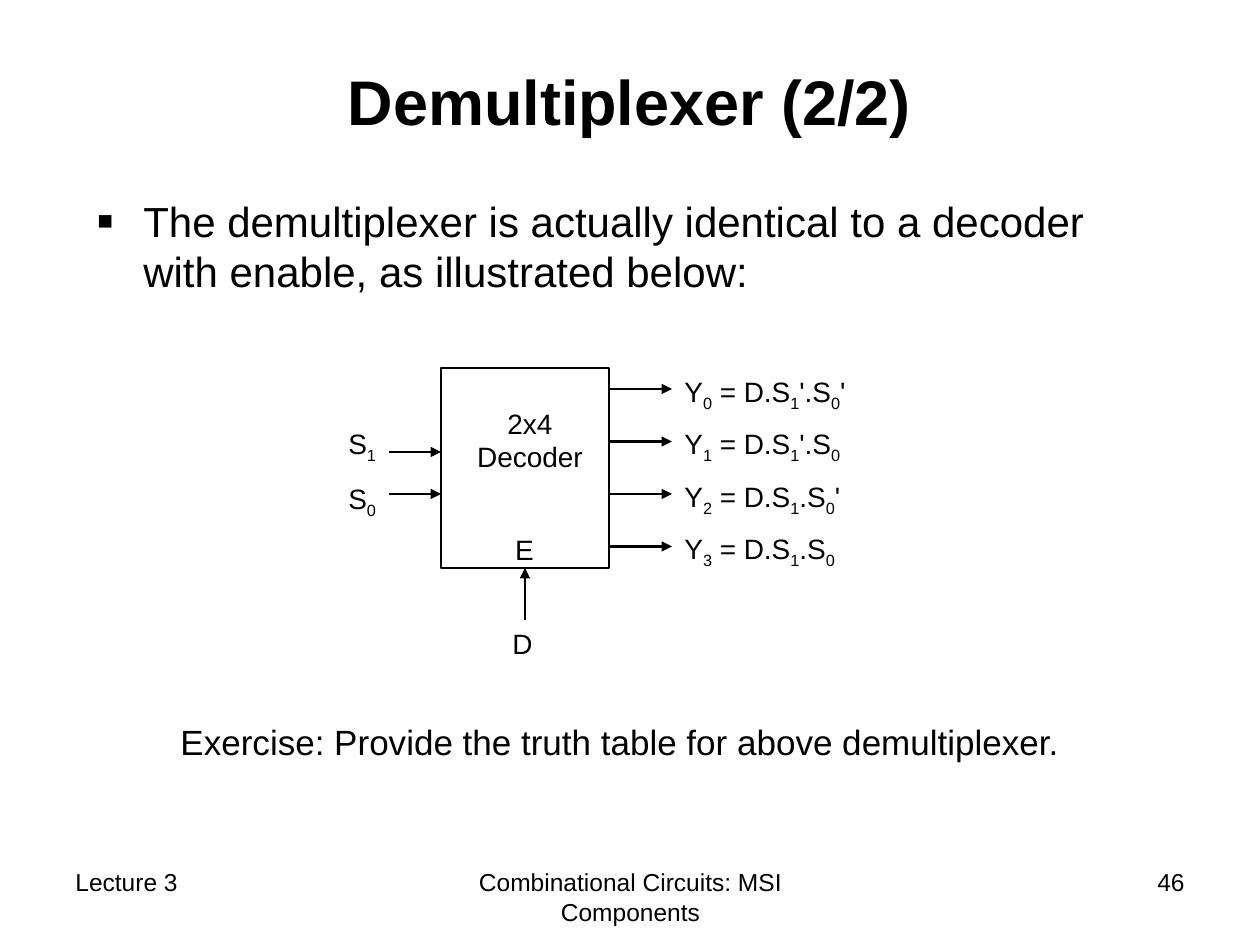
from lxml import etree
from pptx import Presentation
from pptx import util as u
from pptx.dml.color import RGBColor
from pptx.enum import shapes, text
from pptx.oxml import ns

PX = u.Inches(1) / 126
BLACK = RGBColor(0, 0, 0)
WHITE = RGBColor(255, 255, 255)
FONT = "Arial"
LEFT, CENTER, RIGHT = text.PP_ALIGN.LEFT, text.PP_ALIGN.CENTER, text.PP_ALIGN.RIGHT
ROW_STEP = 52.5


def px(*lengths):
    """Turn pixel lengths into EMU."""
    return [round(n * PX) for n in lengths]


def add_runs(p, markup, size, bold=False):
    """Add runs to a paragraph; the character after each underscore is a subscript."""
    first, *rest = markup.split("_")
    pieces = [(first, False)]
    for part in rest:
        pieces += [(part[0], True), (part[1:], False)]
    for words, is_sub in pieces:
        if words:
            r = p.add_run()
            r.text = words
            r.font.name, r.font.size, r.font.bold = FONT, u.Pt(size), bold
            r.font.color.rgb = BLACK
            if is_sub:
                r.font._element.set("baseline", "-25000")


def add_text(s, box, lines, size, align=LEFT, anchor=text.MSO_ANCHOR.TOP, bold=False):
    """Place a wrapping text box with one paragraph per line."""
    tf = s.shapes.add_textbox(*px(*box)).text_frame
    tf.word_wrap = True
    tf.vertical_anchor = anchor
    for i, line in enumerate(lines):
        p = tf.add_paragraph() if i else tf.paragraphs[0]
        p.alignment = align
        if i:
            p.space_before = u.Pt(10)
        add_runs(p, line, size, bold)
    return tf


def add_arrow(s, x1, y1, x2, y2):
    """Draw a straight line with a triangle head at its end."""
    sp = s.shapes.add_connector(shapes.MSO_CONNECTOR.STRAIGHT, *px(x1, y1, x2, y2))
    sp.line.color.rgb = BLACK
    sp.line.width = u.Pt(1.25)
    etree.SubElement(sp.line._get_or_add_ln(), ns.qn("a:tailEnd"), type="triangle")
    etree.SubElement(sp._element.spPr, ns.qn("a:effectLst"))


def add_title(s, box):
    """Place the slide title."""
    add_text(s, box, ["Demultiplexer (2/2)"], 36, CENTER, text.MSO_ANCHOR.MIDDLE, True)


def add_body(s, box):
    """Place the bulleted statement."""
    statement = ("The demultiplexer is actually identical to a decoder "
                 "with enable, as illustrated below:")
    p = add_text(s, box, [statement], 24).paragraphs[0]
    pPr = p._p.get_or_add_pPr()
    indent = px(47)[0]
    pPr.set("marL", str(indent))
    pPr.set("indent", str(-indent))
    color = etree.SubElement(pPr, ns.qn("a:buClr"))
    etree.SubElement(color, ns.qn("a:srgbClr"), val=str(BLACK))
    etree.SubElement(pPr, ns.qn("a:buSzPct"), val="120000")
    etree.SubElement(pPr, ns.qn("a:buFont"), typeface=FONT)
    etree.SubElement(pPr, ns.qn("a:buChar"), char="▪")


def add_decoder(s, x, y):
    """Draw the decoder block with its selectors, enable input and outputs."""
    sp = s.shapes.add_shape(shapes.MSO_SHAPE.RECTANGLE, *px(x + 105, y, 168, 200))
    sp.shadow.inherit = False
    sp.fill.background()
    sp.line.color.rgb = BLACK
    sp.line.width = u.Pt(1.5)
    add_text(s, (x + 126, y + 32, 136, 81), ["2x4 Decoder"], 16, CENTER)
    add_text(s, (x + 162, y + 158, 53, 47), ["E"], 16, CENTER)

    add_text(s, (x, y + 52, 63, 107), ["S_1", "S_0"], 16)
    for dy in (84, 126):
        add_arrow(s, x + 53, y + dy, x + 105, y + dy)

    add_text(s, (x + 164, y + 252, 53, 47), ["D"], 16)
    add_arrow(s, x + 189, y + 252, x + 189, y + 200)

    outputs = ("Y_0 = D.S_1'.S_0'", "Y_1 = D.S_1'.S_0", "Y_2 = D.S_1.S_0'", "Y_3 = D.S_1.S_0")
    for i, output in enumerate(outputs):
        top = y + i * ROW_STEP
        add_arrow(s, x + 273, top + 21, x + 336, top + 21)
        add_text(s, (x + 336, top, 231, 52), [output], 16)


def add_exercise(s, box):
    """Place the exercise line."""
    add_text(s, box, ["Exercise: Provide the truth table for above demultiplexer."], 20)


def add_footer(s, x, y, h):
    """Place the lecture, topic and page number in one row."""
    parts = ((0, 294, "Lecture 3", LEFT),
             (368, 399, "Combinational Circuits: MSI Components", CENTER),
             (840, 294, "46", RIGHT))
    for dx, w, words, align in parts:
        add_text(s, (x + dx, y, w, h), [words], 14, align)


def main():
    """Build the slide and save it."""
    prs = Presentation()
    prs.slide_width, prs.slide_height = px(1260, 945)
    s = prs.slides.add_slide(prs.slide_layouts[6])
    s.background.fill.solid()
    s.background.fill.fore_color.rgb = WHITE
    add_title(s, (94, 21, 1071, 158))
    add_body(s, (84, 189, 1071, 136))
    add_decoder(s, 336, 368)
    add_exercise(s, (168, 714, 924, 73))
    add_footer(s, 63, 861, 65)
    prs.save("out.pptx")


if __name__ == "__main__":
    main()
